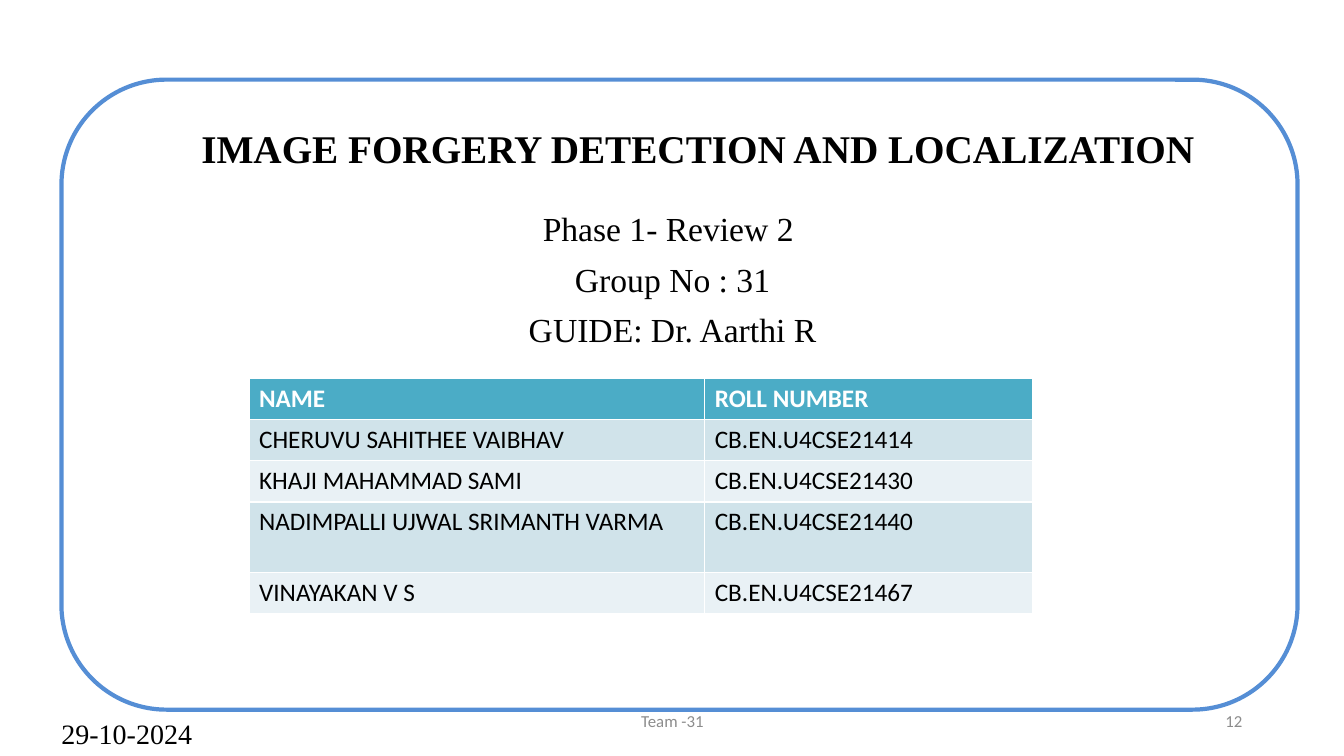
from dataclasses import dataclass

from pptx import Presentation
from pptx import util as u
from pptx.dml.color import RGBColor
from pptx.enum import shapes, text

PX = 9144  # EMU per px, 100 px to the inch


@dataclass(frozen=True)
class Theme:
    serif: str = "Times New Roman"
    sans: str = "Calibri"
    ink: str = "000000"
    white: str = "FFFFFF"
    muted: str = "8C8C8C"
    frame: str = "558ED5"
    header: str = "4BACC6"
    bands: tuple[str, str] = ("D0E3EA", "E9F1F5")
    title: int = 28
    body: int = 24
    date: int = 20
    table: int = 18
    footer: int = 12


@dataclass(frozen=True)
class Box:
    left: int
    top: int
    width: int
    height: int

    def emu(self) -> tuple[int, int, int, int]:
        return self.left * PX, self.top * PX, self.width * PX, self.height * PX


@dataclass(frozen=True)
class Style:
    font: str
    size: int
    color: str
    bold: bool = False
    align: text.PP_ALIGN = text.PP_ALIGN.LEFT


@dataclass(frozen=True)
class Note:
    words: str
    box: Box
    style: Style


T = Theme()
CENTER, RIGHT = text.PP_ALIGN.CENTER, text.PP_ALIGN.RIGHT

TITLE = "IMAGE FORGERY DETECTION AND LOCALIZATION"
DETAILS = ["Phase 1- Review 2 ", "Group No : 31", "GUIDE: Dr. Aarthi R"]
NOTES = [
    Note("29-10-2024", Box(51, 707, 300, 40), Style(T.serif, T.date, T.ink)),
    Note("12", Box(942, 695, 300, 40), Style(T.sans, T.footer, T.muted, align=RIGHT)),
    Note("Team -31", Box(442, 695, 450, 40), Style(T.sans, T.footer, T.muted, align=CENTER)),
]
MEMBERS = [
    ("NAME", "ROLL NUMBER"),
    ("CHERUVU SAHITHEE VAIBHAV", "CB.EN.U4CSE21414"),
    ("KHAJI MAHAMMAD SAMI", "CB.EN.U4CSE21430"),
    ("NADIMPALLI UJWAL SRIMANTH VARMA", "CB.EN.U4CSE21440"),
    ("VINAYAKAN V S", "CB.EN.U4CSE21467"),
]
COLUMN_WIDTHS = [452, 325]
ROW_HEIGHTS = [41, 41, 41, 70, 41]


def rgb(color: str) -> RGBColor:
    return RGBColor.from_string(color)


def format_text(tf, style: Style) -> None:
    for p in tf.paragraphs:
        p.alignment = style.align
        for r in p.runs:
            r.font.name = style.font
            r.font.size = u.Pt(style.size)
            r.font.bold = style.bold
            r.font.color.rgb = rgb(style.color)


def fill_placeholder(sp, box: Box, lines: list[str], style: Style) -> None:
    sp.left, sp.top, sp.width, sp.height = box.emu()
    tf = sp.text_frame
    tf.text = "\n".join(lines)
    tf.auto_size = text.MSO_AUTO_SIZE.NONE
    format_text(tf, style)
    for i, p in enumerate(tf.paragraphs):
        p.line_spacing = 0.9
        p.space_before = u.Pt(10 if i else 0)


def add_frame(s, box: Box) -> None:
    sp = s.shapes.add_shape(shapes.MSO_SHAPE.ROUNDED_RECTANGLE, *box.emu())
    sp.shadow.inherit = False
    sp.fill.background()
    sp.line.color.rgb = rgb(T.frame)
    sp.line.width = u.Pt(3)


def add_note(s, note: Note) -> None:
    tf = s.shapes.add_textbox(*note.box.emu()).text_frame
    tf.word_wrap = True
    tf.vertical_anchor = text.MSO_ANCHOR.MIDDLE
    tf.text = note.words
    format_text(tf, note.style)


def add_members(s, left: int, top: int) -> None:
    """Draw the team table; its default style supplies the white rules."""
    box = Box(left, top, sum(COLUMN_WIDTHS), sum(ROW_HEIGHTS))
    table = s.shapes.add_table(len(MEMBERS), len(COLUMN_WIDTHS), *box.emu()).table
    for column, width in zip(table.columns, COLUMN_WIDTHS):
        column.width = width * PX
    for i, (row, height) in enumerate(zip(table.rows, ROW_HEIGHTS)):
        row.height = height * PX
        header = i == 0
        fill = T.header if header else T.bands[(i - 1) % 2]
        style = Style(T.sans, T.table, T.white if header else T.ink, header)
        for cell, words in zip(row.cells, MEMBERS[i]):
            cell.fill.solid()
            cell.fill.fore_color.rgb = rgb(fill)
            cell.text_frame.text = words
            format_text(cell.text_frame, style)


def main() -> None:
    prs = Presentation()
    prs.slide_width, prs.slide_height = 1333 * PX, 750 * PX
    s = prs.slides.add_slide(prs.slide_layouts[0])
    title, details = s.placeholders
    fill_placeholder(title, Box(167, 116, 1050, 60), [TITLE],
                     Style(T.serif, T.title, T.ink, True, CENTER))
    title.text_frame.vertical_anchor = text.MSO_ANCHOR.BOTTOM
    fill_placeholder(details, Box(167, 206, 1000, 371), DETAILS,
                     Style(T.serif, T.body, T.ink, align=CENTER))
    add_frame(s, Box(61, 79, 1226, 625))
    add_members(s, 247, 375)
    for note in NOTES:
        add_note(s, note)
    prs.save("out.pptx")


if __name__ == "__main__":
    main()
